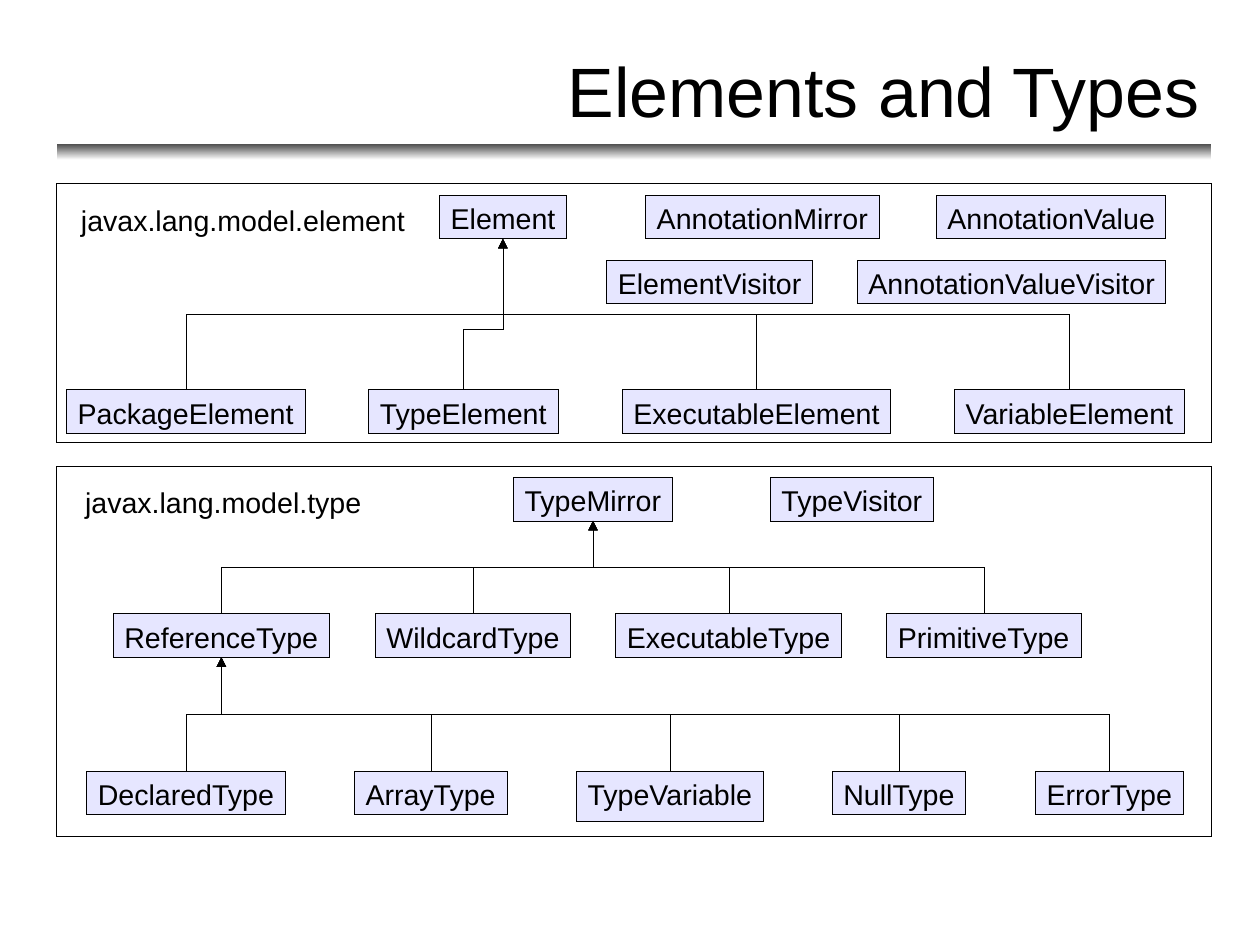
from lxml import etree
from pptx import Presentation
from pptx.dml.color import RGBColor
from pptx.enum.shapes import MSO_CONNECTOR, MSO_SHAPE
from pptx.enum.text import MSO_ANCHOR, MSO_AUTO_SIZE, PP_ALIGN
from pptx.oxml.ns import qn
from pptx.util import Pt

RECTANGLE = MSO_SHAPE.RECTANGLE
ELBOW = MSO_CONNECTOR.ELBOW
LEFT, RIGHT = PP_ALIGN.LEFT, PP_ALIGN.RIGHT
MIDDLE = MSO_ANCHOR.MIDDLE
TOP = MSO_ANCHOR.TOP
FIT_SHAPE = MSO_AUTO_SIZE.SHAPE_TO_FIT_TEXT

BLACK = RGBColor(0x00, 0x00, 0x00)
WHITE = RGBColor(0xFF, 0xFF, 0xFF)
GRAY = RGBColor(0x4C, 0x4C, 0x4C)
LAVENDER = RGBColor(0xE6, 0xE6, 0xFF)
FONT = "Arial"
PAGE_SIZE = (793.7, 595.28)
BOX_HEIGHT = 27.4
TOP_CONNECTION, BOTTOM_CONNECTION = 0, 2

TITLE = "Elements and Types"
PANELS = [(115.9, 162.7), (293.8, 233.3)]
PACKAGES = [
    ("javax.lang.model.element", 43.9, 124.2, 218.2),
    ("javax.lang.model.type", 46.5, 302.1, 188.6),
]
ROWS = [
    (123.1, [("Element", 276.8, 80), ("AnnotationMirror", 406.6, 147.6),
             ("AnnotationValue", 589.7, 144.7)]),
    (164, [("ElementVisitor", 382.1, 129.6),
           ("AnnotationValueVisitor", 540, 194.4)]),
    (245.6, [("PackageElement", 41.8, 150.5), ("TypeElement", 232.2, 119.5),
             ("ExecutableElement", 391.9, 169.2),
             ("VariableElement", 601.2, 144.7)]),
    (300.8, [("TypeMirror", 323.4, 100.3), ("TypeVisitor", 485.2, 103)]),
    (386.7, [("ReferenceType", 71.3, 136.3), ("WildcardType", 236.3, 123),
             ("ExecutableType", 387.8, 142.6), ("PrimitiveType", 558.5, 122.6)]),
    (485.8, [("DeclaredType", 54.5, 125.5), ("ArrayType", 223.2, 96.5),
             ("TypeVariable", 363, 118), ("NullType", 524.2, 84.2),
             ("ErrorType", 652.2, 93.4)]),
]
TALL_BOXES = {"TypeVariable": 31.7}
HIERARCHY = {
    "Element": ["PackageElement", "TypeElement", "ExecutableElement",
                "VariableElement"],
    "TypeMirror": ["ReferenceType", "WildcardType", "ExecutableType",
                   "PrimitiveType"],
    "ReferenceType": ["DeclaredType", "ArrayType", "TypeVariable", "NullType",
                      "ErrorType"],
}
BENDS = {"TypeElement": 40300}


def write(shape, text, size=18, align=LEFT, anchor=TOP, insets=(7.2, 3.6, 3.6, 3.6),
          wrap=False):
    frame = shape.text_frame
    frame.word_wrap = wrap
    frame.auto_size = FIT_SHAPE
    frame.vertical_anchor = anchor
    (frame.margin_left, frame.margin_top,
     frame.margin_right, frame.margin_bottom) = map(Pt, insets)
    para = frame.paragraphs[0]
    para.alignment = align
    span = para.add_run()
    span.text = text
    span.font.name = FONT
    span.font.size = Pt(size)
    span.font.color.rgb = BLACK


def add_rectangle(page, *bounds):
    shape = page.shapes.add_shape(RECTANGLE, *map(Pt, bounds))
    shape.shadow.inherit = False
    return shape


def outline(shape):
    shape.line.color.rgb = BLACK
    line = shape._element.spPr.find(qn("a:ln"))
    line.set("w", "0")
    return line


def add_header(page):
    rule = add_rectangle(page, 36, 90.7, 727.2, 10.1)
    rule.fill.gradient()
    rule.fill.gradient_angle = 270
    for stop, color in zip(rule.fill.gradient_stops, (GRAY, WHITE)):
        stop.color.rgb = color
    rule.line.fill.background()
    title = page.shapes.add_textbox(*map(Pt, (254.2, 31.7, 501.8, 49)))
    write(title, TITLE, 44, RIGHT, MIDDLE, (0, 0, 0, 0), True)


def add_class_box(page, name, left, top, width):
    box = add_rectangle(page, left, top, width, TALL_BOXES.get(name, BOX_HEIGHT))
    box.fill.solid()
    box.fill.fore_color.rgb = LAVENDER
    outline(box)
    write(box, name)
    return box


def add_inheritance(page, child, parent, bend):
    start_x = child.left + child.width // 2
    end_x = parent.left + parent.width // 2
    end_y = parent.top + parent.height
    rise, reach = child.top - end_y, abs(end_x - start_x)
    arrow = page.shapes.add_connector(ELBOW, start_x, child.top, end_x, end_y)
    arrow.begin_connect(child, TOP_CONNECTION)
    arrow.end_connect(parent, BOTTOM_CONNECTION)
    arrow.left = (start_x + end_x - rise) // 2
    arrow.top = (child.top + end_y - reach) // 2
    arrow.width, arrow.height = rise, reach
    line = outline(arrow)
    etree.SubElement(line, qn("a:tailEnd"), type="triangle")

    properties = arrow._element.spPr
    frame = properties.find(qn("a:xfrm"))
    rightward = end_x > start_x
    frame.set("rot", "5400000" if rightward else "16200000")
    frame.set("flipH", "1" if rightward else "0")
    frame.set("flipV", "1")
    guides = properties.find(qn("a:prstGeom")).find(qn("a:avLst"))
    etree.SubElement(guides, qn("a:gd"), name="adj1", fmla=f"val {bend}")
    etree.SubElement(properties, qn("a:effectLst"))


def main():
    deck = Presentation()
    deck.slide_width, deck.slide_height = map(Pt, PAGE_SIZE)
    page = deck.slides.add_slide(deck.slide_layouts[6])
    add_header(page)
    for top, height in PANELS:
        panel = add_rectangle(page, 35.3, top, 727.9, height)
        panel.fill.background()
        outline(panel)
    for name, left, top, width in PACKAGES:
        label = page.shapes.add_textbox(*map(Pt, (left, top, width, BOX_HEIGHT)))
        write(label, name)
    boxes = {
        name: add_class_box(page, name, left, top, width)
        for top, row in ROWS
        for name, left, width in row
    }
    for parent, children in HIERARCHY.items():
        for child in children:
            add_inheritance(page, boxes[child], boxes[parent], BENDS.get(child, 50000))
    deck.save("out.pptx")


if __name__ == "__main__":
    main()
